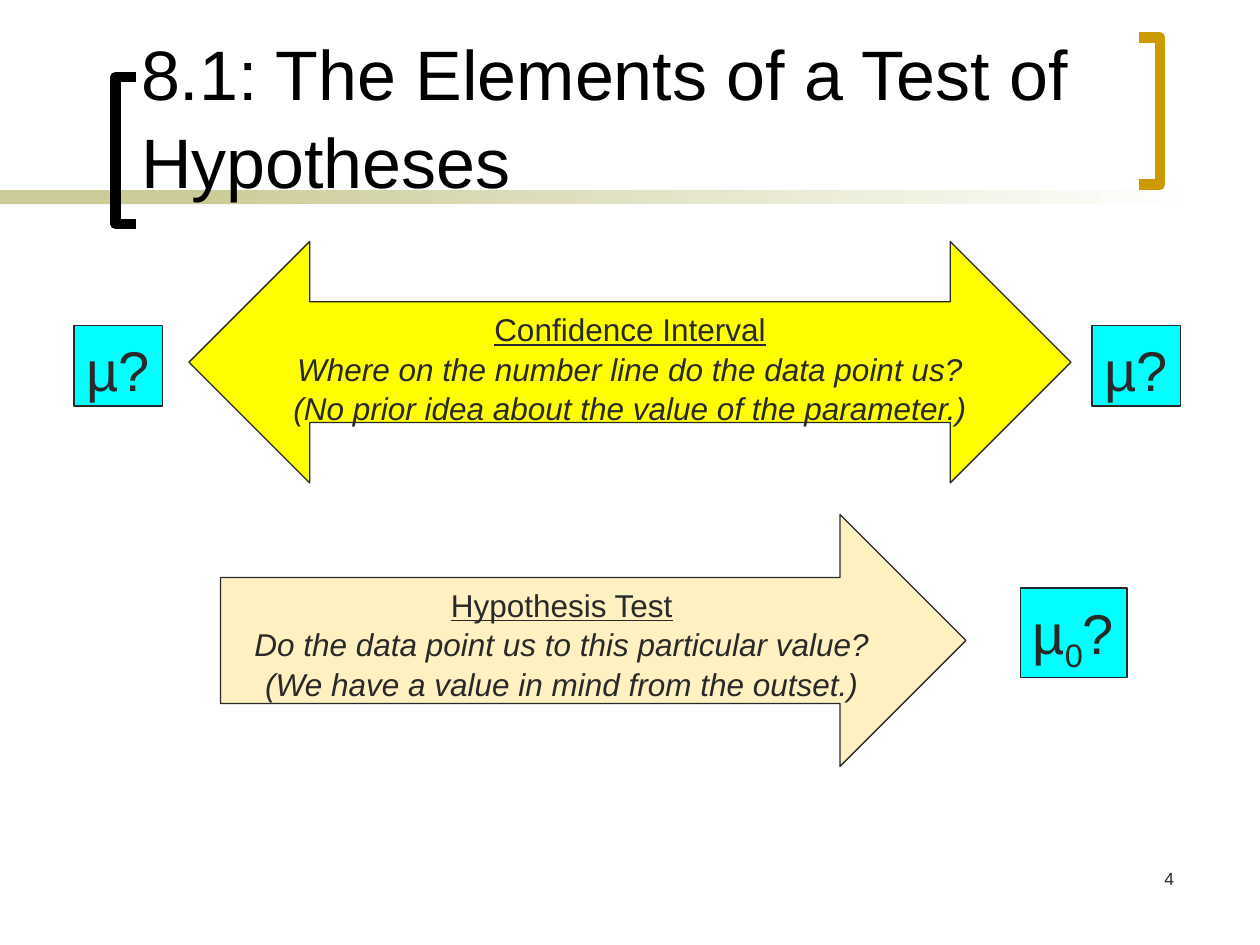
from pptx import Presentation
from pptx.dml.color import RGBColor
from pptx.enum import shapes, text
from pptx.util import Pt

COLOURS = {
    "black": "000000", "ink": "292929", "olive": "CCCC99", "white": "FFFFFF",
    "gold": "CC9900", "yellow": "FFFF00", "cream": "FFF0C2", "cyan": "00FFFF",
}
SHAPE = shapes.MSO_SHAPE
ALIGN = text.PP_ALIGN


def colour(name):
    """Return the named colour."""
    return RGBColor.from_string(COLOURS[name])


def style_para(para, size, ink="ink", align=ALIGN.LEFT):
    """Set the common type style of a paragraph."""
    para.alignment = align
    para.line_spacing = 1.05
    para.font.name = "Arial"
    para.font.size = Pt(size)
    para.font.color.rgb = colour(ink)


def add_panel(page, kind, box, fill, line=None):
    """Add a flat preset shape with an optional thin outline."""
    panel = page.shapes.add_shape(kind, *map(Pt, box))
    panel.shadow.inherit = False
    panel.fill.solid()
    panel.fill.fore_color.rgb = colour(fill)
    if line:
        panel.line.color.rgb = colour(line)
        panel.line.width = Pt(0.75)
    else:
        panel.line.fill.background()
    return panel


def add_bracket(page, box, depth, ink):
    """Draw a square bracket whose arms run by depth from the spine."""
    left, top, width, height = box
    spine, tips = (left, left + width) if depth > 0 else (left + width, left)
    builder = page.shapes.build_freeform(Pt(tips), Pt(top), scale=1.0)
    corners = [(spine, top), (spine, top + height), (tips, top + height)]
    builder.add_line_segments([(Pt(x), Pt(y)) for x, y in corners], close=False)
    bracket = builder.convert_to_shape()
    bracket.shadow.inherit = False
    bracket.fill.background()
    bracket.line.color.rgb = colour(ink)
    bracket.line.width = Pt(6)


def add_band(page, box, solid_width):
    """Draw the band, solid at the left and then fading to white."""
    left, top, width, height = box
    add_panel(page, SHAPE.RECTANGLE, (left, top, solid_width, height), "olive")
    fade_left = left + 113.75
    fade_box = (fade_left, top, left + width - fade_left, height)
    fade = add_panel(page, SHAPE.RECTANGLE, fade_box, "olive")
    fade.fill.gradient()
    fade.fill.gradient_angle = 0
    for stop, name, position in zip(fade.fill.gradient_stops, ("olive", "white"), (0, 1)):
        stop.color.rgb = colour(name)
        stop.position = position


def add_label(page, box, words, size, ink, align, anchor):
    """Add a wrapped one-paragraph text box."""
    frame = page.shapes.add_textbox(*map(Pt, box)).text_frame
    frame.word_wrap = True
    frame.vertical_anchor = anchor
    frame.text = words
    style_para(frame.paragraphs[0], size, ink, align)


def add_header(page, box, title):
    """Place the band, the brackets and the title in the header box."""
    left, top, width, height = box
    add_band(page, (left, top + 108.75, width - 36, 8), 168)
    add_bracket(page, (left + 66, top + 44, 12, 84), 12, "black")
    add_bracket(page, (left + 651, top + 21.5, 12, 84), -12, "gold")
    title_box = (left + 73.5, top + 8, 564, height - 8)
    add_label(page, title_box, title, 40, "black", ALIGN.LEFT, text.MSO_ANCHOR.BOTTOM)


def add_arrow(page, kind, box, fill, heading, remarks):
    """Add a block arrow with an underlined heading and italic remarks."""
    arrow = add_panel(page, kind, box, fill, "ink")
    frame = arrow.text_frame
    frame.word_wrap = True
    frame.vertical_anchor = text.MSO_ANCHOR.TOP
    frame.text = "\n".join([heading, *remarks])
    for index, para in enumerate(frame.paragraphs):
        style_para(para, 18, align=ALIGN.CENTER)
        para.font.underline = index == 0
        para.font.italic = index > 0


def add_mean_box(page, box, subscript=""):
    """Add a cyan box asking for the mean, with an optional subscript."""
    frame = add_panel(page, SHAPE.RECTANGLE, box, "cyan", "ink").text_frame
    frame.word_wrap = False
    frame.auto_size = text.MSO_AUTO_SIZE.SHAPE_TO_FIT_TEXT
    frame.vertical_anchor = text.MSO_ANCHOR.TOP
    para = frame.paragraphs[0]
    style_para(para, 32)
    for words in filter(None, ("µ", subscript, "?")):
        span = para.add_run()
        span.text = words
        if words == subscript:
            span._r.get_or_add_rPr().set("baseline", "-25000")


def main():
    """Build the slide and save the deck."""
    deck = Presentation()
    deck.slide_width, deck.slide_height = Pt(720), Pt(540)
    page = deck.slides.add_slide(deck.slide_layouts[6])
    add_header(page, (0, 0, 720, 119.5), "8.1: The Elements of a Test of Hypotheses")
    add_label(page, (528, 492, 150, 36), "4", 10, "ink", ALIGN.RIGHT, text.MSO_ANCHOR.TOP)
    add_arrow(page, SHAPE.LEFT_RIGHT_ARROW, (108, 138, 504, 138), "yellow",
              "Confidence Interval",
              ["Where on the number line do the data point us?",
               "(No prior idea about the value of the parameter.)"])
    add_arrow(page, SHAPE.RIGHT_ARROW, (126, 294, 426, 144), "cream",
              "Hypothesis Test",
              ["Do the data point us to this particular value?",
               "(We have a value in mind from the outset.)"])
    for left in (42.25, 624):
        add_mean_box(page, (left, 186, 50.5, 46))
    add_mean_box(page, (583, 336, 61, 51), "0")
    deck.save("out.pptx")


if __name__ == "__main__":
    main()
